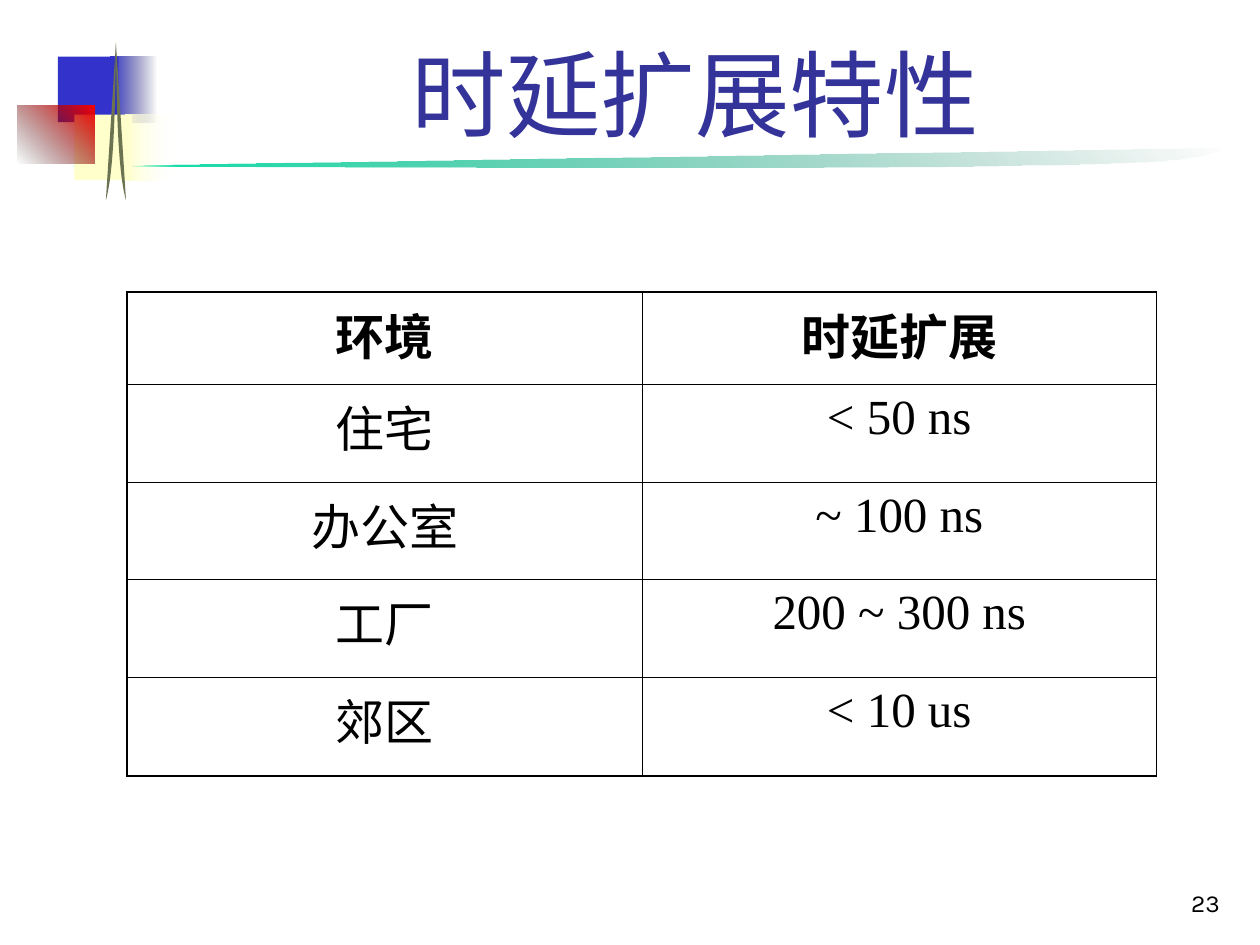
from lxml import etree
from pptx import Presentation, util as u
from pptx.dml.color import RGBColor
from pptx.enum import shapes, text
from pptx.oxml.ns import qn

COLORS = {
    "black": "000000", "title": "333399", "blue": "3333CC", "navy": "18185E",
    "cream": "FFFFCC", "white": "FFFFFF", "dark": "100000", "red": "FF0000",
    "mint": "00E4A8", "green": "006A4E", "needle": "6C7351",
}
SERIF = "Times New Roman"
ROWS = [
    ("环境", "时延扩展"),
    ("住宅", "< 50 ns"),
    ("办公室", "~ 100 ns"),
    ("工厂", "200 ~ 300 ns"),
    ("郊区", "< 10 us"),
]
ROW_HEIGHTS = [0.73, 0.78, 0.77, 0.78, 0.78]


def rgb(name):
    return RGBColor.from_string(COLORS[name])


def style_text(paragraph, size, color, font=SERIF, bold=False, align=text.PP_ALIGN.CENTER):
    paragraph.alignment = align
    for run in paragraph.runs:
        run.font.name = font
        run.font.size = u.Pt(size)
        run.font.bold = bold
        run.font.color.rgb = rgb(color)


def paint(shape, *stops, angle=0, clear=None):
    shape.shadow.inherit = False
    shape.line.fill.background()
    if len(stops) == 1:
        shape.fill.solid()
        shape.fill.fore_color.rgb = rgb(stops[0])
        return
    shape.fill.gradient()
    shape.fill.gradient_angle = angle
    for index, (stop, color) in enumerate(zip(shape.fill.gradient_stops, stops)):
        stop.position = index
        stop.color.rgb = rgb(color)
    if clear is not None:
        color_tag = list(shape._element.spPr.iter(qn("a:srgbClr")))[clear]
        etree.SubElement(color_tag, qn("a:alpha"), val="0")


def add_block(slide, box, *stops, **gradient):
    block = slide.shapes.add_shape(shapes.MSO_SHAPE.RECTANGLE, *map(u.Inches, box))
    paint(block, *stops, **gradient)


def curve(start, control_1, control_2, end, steps=24):
    for step in range(1, steps + 1):
        t = step / steps
        weights = ((1 - t) ** 3, 3 * t * (1 - t) ** 2, 3 * t * t * (1 - t), t ** 3)
        yield tuple(
            u.Inches(sum(w * c for w, c in zip(weights, axis)))
            for axis in zip(start, control_1, control_2, end)
        )


def add_curved(slide, points, *stops, **gradient):
    outline = slide.shapes.build_freeform(*map(u.Inches, points[0]))
    for first in range(0, len(points) - 1, 3):
        outline.add_line_segments(list(curve(*points[first:first + 4])), close=False)
    outline.add_line_segments([tuple(map(u.Inches, points[0]))], close=True)
    paint(outline.convert_to_shape(), *stops, **gradient)


def add_emblem(slide, left, top):
    def at(dx, dy, width, height):
        return left + dx, top + dy, width, height

    add_block(slide, at(0.32, 0.11, 0.48, 0.52), "blue")
    add_block(slide, at(0.74, 0.11, 0.36, 0.52), "blue", "navy", clear=1)
    add_block(slide, at(0.45, 0.57, 0.46, 0.52), "cream")
    add_block(slide, at(0.86, 0.57, 0.40, 0.52), "cream", "white", clear=1)
    add_block(slide, at(0, 0.5, 0.61, 0.46), "dark", "red", angle=45, clear=0)
    tip = left + 0.78
    for side in (-1, 1):
        needle = [(tip, top), (tip + side * 0.005, top + 0.51),
                  (tip + side * 0.015, top + 1.02), (tip + side * 0.08, top + 1.25)]
        add_curved(slide, needle, "needle")


def add_swoosh(slide, left, top, width):
    right = left + width
    points = [
        (left, top + 0.14), (left + 2.91, top + 0.15), (left + 5.81, top + 0.17),
        (left + 7.34, top + 0.14), (right - 0.31, top + 0.12),
        (right - 0.27, top + 0.09), (right, top),
    ]
    add_curved(slide, points, "mint", "green", angle=45, clear=1)


def add_title(slide, left, top, width, height):
    title = slide.shapes.title
    title.left, title.top, title.width, title.height = map(u.Inches, (left, top, width, height))
    frame = title.text_frame
    frame.text = "时延扩展特性"
    frame.auto_size = text.MSO_AUTO_SIZE.NONE
    frame.vertical_anchor = text.MSO_ANCHOR.BOTTOM
    style_text(frame.paragraphs[0], 54, "title")


def set_borders(cell, widths):
    properties = cell._tc.get_or_add_tcPr()
    for index, (side, width) in enumerate(zip("LRTB", widths)):
        line = etree.Element(qn(f"a:ln{side}"), w=str(u.Pt(width)))
        fill = etree.SubElement(line, qn("a:solidFill"))
        etree.SubElement(fill, qn("a:srgbClr"), val=COLORS["black"])
        properties.insert(index, line)


def add_delay_table(slide, left, top, width, height):
    row_count, column_count = len(ROWS), len(ROWS[0])
    table = slide.shapes.add_table(
        row_count, column_count, *map(u.Inches, (left, top, width, height))).table
    table.first_row = table.horz_banding = False
    for row, (values, row_height) in enumerate(zip(ROWS, ROW_HEIGHTS)):
        table.rows[row].height = u.Inches(row_height)
        for column, value in enumerate(values):
            cell = table.cell(row, column)
            cell.text_frame.text = value
            style_text(cell.text_frame.paragraphs[0], 28, "black", bold=row == 0)
            cell.fill.background()
            outer = (column == 0, column == column_count - 1, row == 0, row == row_count - 1)
            set_borders(cell, [1.08 if edge else 0.45 for edge in outer])


def add_page_number(slide, left, top, width, height):
    frame = slide.shapes.add_textbox(*map(u.Inches, (left, top, width, height))).text_frame
    frame.word_wrap = True
    frame.vertical_anchor = text.MSO_ANCHOR.BOTTOM
    frame.text = "23"
    style_text(frame.paragraphs[0], 14, "black", font="Karla", align=text.PP_ALIGN.RIGHT)


def main():
    deck = Presentation()
    deck.slide_width, deck.slide_height = u.Inches(10), u.Inches(7.5)
    slide = deck.slides.add_slide(deck.slide_layouts[5])
    add_swoosh(slide, 0.58, 1.17, 9.17)
    add_emblem(slide, 0.14, 0.34)
    add_page_number(slide, 7.7, 6.83, 2.08, 0.5)
    add_title(slide, 1.26, 0.23, 8.52, 1.01)
    add_delay_table(slide, 1.01, 2.32, 8.17, sum(ROW_HEIGHTS))
    deck.save("out.pptx")


if __name__ == "__main__":
    main()
